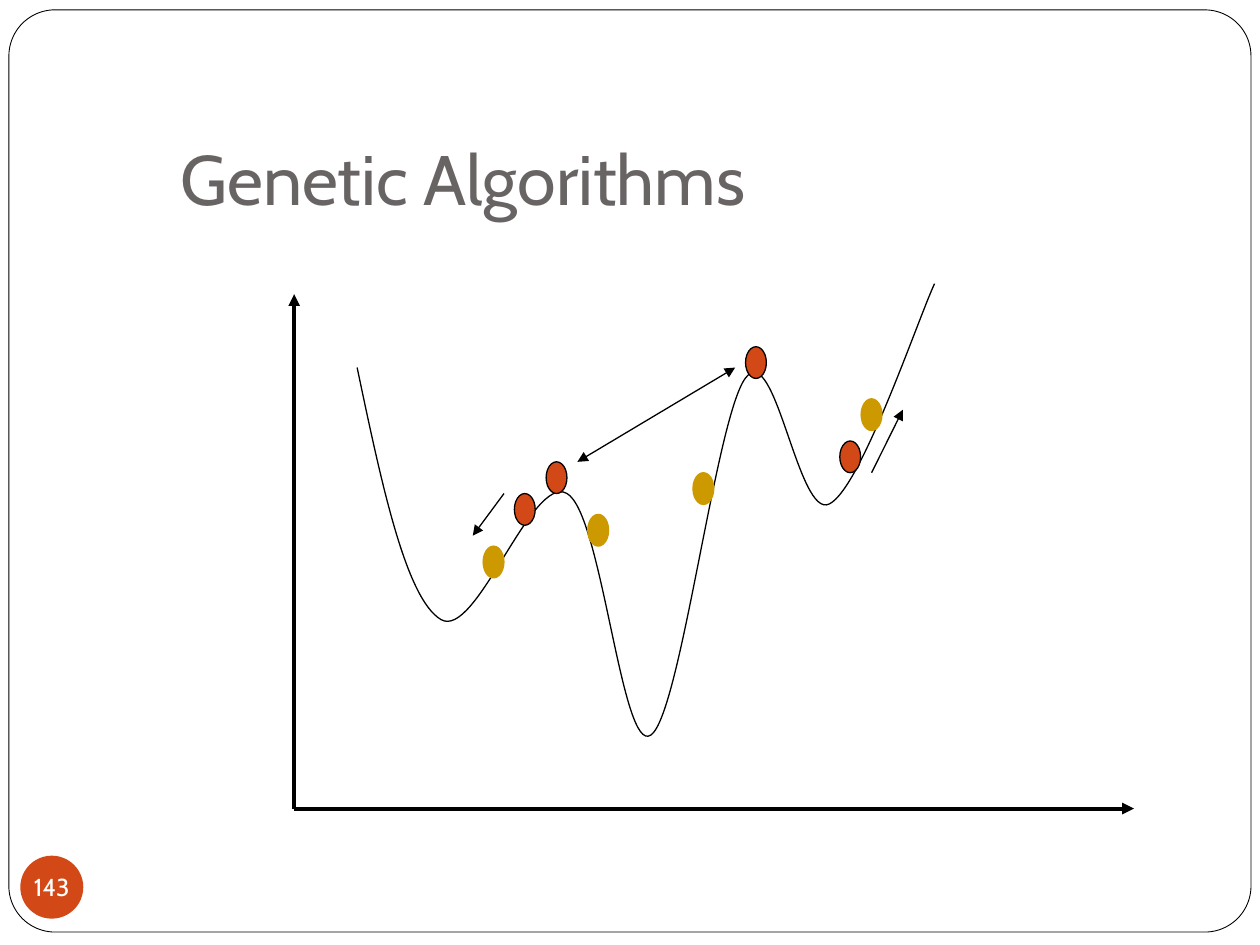
"""Build the Genetic Algorithms slide: a fitness curve with parents and offspring."""
import itertools

import lxml.etree
import pptx
import pptx.dml.color
import pptx.enum.shapes
import pptx.enum.text
import pptx.oxml.ns
import pptx.util

Cm = pptx.util.Cm
Pt = pptx.util.Pt
qn = pptx.oxml.ns.qn
Preset = pptx.enum.shapes.MSO_SHAPE

THEME = {
    "font": "Cabin",
    "title_size": 40, "number_size": 14,
    "title": "696464", "paper": "FFFFFF", "ink": "000000",
    "parent": "D34817", "offspring": "CC9900",
    "frame_line": 0.5, "thin_line": 0.75, "axis_line": 2.25,
}

TITLE = "Genetic Algorithms"
NUMBER = "143"
SLIDE_SIZE = (25.4, 19.05)
FRAME_BOX = (0.18, 0.2, 25.04, 18.59)
TITLE_BOX = (3.39, 2.39, 21.64, 2.29)
NUMBER_BOX = (0.41, 17.25, 1.27, 1.27)

ORIGIN = (5.93, 16.3)
AXES = [(ORIGIN, (5.93, 5.93)), (ORIGIN, (22.86, 16.3))]

CURVE_START = (7.2, 7.41)
CURVE_BENDS = [
    [(7.69, 9.74), (8.18, 12.07), (8.89, 12.49)],
    [(9.6, 12.91), (10.72, 9.54), (11.43, 9.95)],
    [(12.14, 10.35), (12.53, 15.22), (13.12, 14.82)],
    [(13.72, 14.42), (14.43, 8.41), (15.03, 7.62)],
    [(15.63, 6.83), (16.09, 10.48), (16.72, 10.16)],
    [(17.36, 9.84), (18.5, 6.45), (18.84, 5.72)],
]

DOT_SIZE = (0.42, 0.64)
PARENTS = [(10.37, 9.95), (16.93, 8.89), (11.01, 9.31), (15.03, 6.99)]
OFFSPRING = [(9.74, 11.01), (11.85, 10.37), (13.97, 9.53), (17.36, 8.04)]

MUTATIONS = [((10.16, 9.95), (9.53, 10.8)), ((17.57, 9.53), (18.2, 8.26))]
CROSSOVER = ((11.64, 9.31), (14.82, 7.41))


def rgb(name):
    return pptx.dml.color.RGBColor.from_string(THEME[name])


def lengths(values):
    return [Cm(value) for value in values]


def outline(item, colour, width):
    item.line.color.rgb = rgb(colour)
    item.line.width = Pt(THEME[width])


def add_filled(slide, preset, box, fill, line=None, width="thin_line"):
    shape = slide.shapes.add_shape(preset, *lengths(box))
    shape.shadow.inherit = False
    shape.fill.solid()
    shape.fill.fore_color.rgb = rgb(fill)
    if line:
        outline(shape, line, width)
    else:
        shape.line.fill.background()
    return shape


def add_arrow(slide, start, end, width, both_ends=False):
    arrow = slide.shapes.add_connector(
        pptx.enum.shapes.MSO_CONNECTOR.STRAIGHT, *lengths(start + end))
    outline(arrow, "ink", width)
    properties = arrow.element.spPr
    for tag in ["a:headEnd", "a:tailEnd"] if both_ends else ["a:tailEnd"]:
        lxml.etree.SubElement(properties.find(qn("a:ln")), qn(tag), type="triangle")
    lxml.etree.SubElement(properties, qn("a:effectLst"))


def add_curve(slide, start, bends):
    points = [lengths(point) for point in itertools.chain(*bends)]
    builder = slide.shapes.build_freeform(*lengths(start))
    builder.add_line_segments(points, close=False)
    curve = builder.convert_to_shape()
    curve.shadow.inherit = False
    curve.fill.background()
    outline(curve, "ink", "thin_line")
    segments = list(curve.element.iter(qn("a:lnTo")))
    for first in range(0, len(segments), 3):
        bend = lxml.etree.Element(qn("a:cubicBezTo"))
        segments[first].addprevious(bend)
        for segment in segments[first:first + 3]:
            bend.append(segment[0])
            segment.getparent().remove(segment)


def write(shape, text, size, colour, align, anchor, margins, wrap):
    frame = shape.text_frame
    frame.text = text
    frame.word_wrap = wrap
    frame.auto_size = pptx.enum.text.MSO_AUTO_SIZE.NONE
    frame.vertical_anchor = anchor
    (frame.margin_left, frame.margin_top,
     frame.margin_right, frame.margin_bottom) = lengths(margins)
    paragraph = frame.paragraphs[0]
    paragraph.alignment = align
    paragraph.font.name = THEME["font"]
    paragraph.font.size = Pt(THEME[size])
    paragraph.font.color.rgb = rgb(colour)


def main():
    deck = pptx.Presentation()
    deck.slide_width, deck.slide_height = lengths(SLIDE_SIZE)
    slide = deck.slides.add_slide(deck.slide_layouts.get_by_name("Title Only"))
    align, anchor = pptx.enum.text.PP_ALIGN, pptx.enum.text.MSO_ANCHOR

    title = slide.shapes.title
    title.left, title.top, title.width, title.height = lengths(TITLE_BOX)
    write(title, TITLE, "title_size", "title", align.LEFT, anchor.BOTTOM,
          (0.25, 0.13, 0.25, 0.25), True)

    frame = add_filled(slide, Preset.ROUNDED_RECTANGLE, FRAME_BOX, "paper",
                       "ink", "frame_line")
    frame.adjustments[0] = 0.05
    title.element.addprevious(frame.element)

    badge = add_filled(slide, Preset.OVAL, NUMBER_BOX, "parent")
    write(badge, NUMBER, "number_size", "paper", align.CENTER, anchor.MIDDLE,
          (0, 0, 0, 0), False)

    for start, end in AXES:
        add_arrow(slide, start, end, "axis_line")
    add_curve(slide, CURVE_START, CURVE_BENDS)
    for spots, fill, line in [(PARENTS, "parent", "ink"),
                              (OFFSPRING, "offspring", "offspring")]:
        for spot in spots:
            add_filled(slide, Preset.OVAL, spot + DOT_SIZE, fill, line)
    for start, end in MUTATIONS:
        add_arrow(slide, start, end, "thin_line")
    add_arrow(slide, *CROSSOVER, "thin_line", both_ends=True)

    deck.save("out.pptx")


if __name__ == "__main__":
    main()
